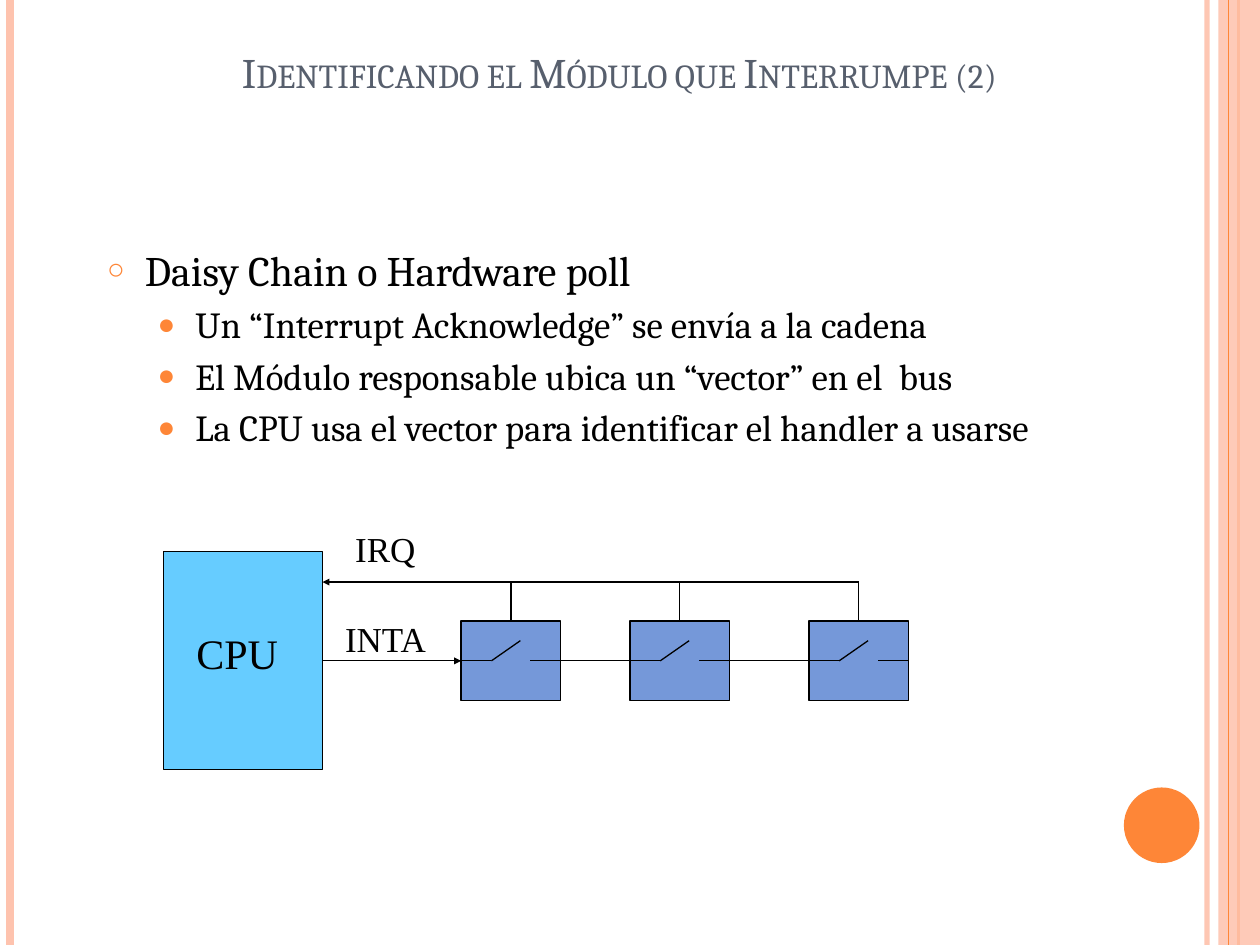
from typing import NamedTuple, Optional

from pptx import Presentation
from pptx.dml.color import RGBColor
from pptx.enum.shapes import MSO_CONNECTOR, MSO_SHAPE
from pptx.enum.text import MSO_ANCHOR, MSO_AUTO_SIZE, PP_ALIGN
from pptx.oxml.ns import qn
from pptx.util import Inches, Pt
from lxml.etree import SubElement

COLORS = {
    "peach": "FEC3AE",
    "orange": "FE8637",
    "slate": "575F6D",
    "black": "000000",
    "cpu": "66CCFF",
    "module": "7598D9",
}
SERIF = "Cambria"
DIAGRAM_FONT = "Times New Roman"
TOP, LEFT, RIGHT = 0, 1, 3


class Stripe(NamedTuple):
    x: float
    color: str
    width: float
    opacity: int = 100


class Bullet(NamedTuple):
    text: str
    level: int
    size: float
    symbol: str
    symbol_percent: int
    indent: float
    space_before: float


class Label(NamedTuple):
    text: str
    x: float
    y: float
    width: float
    height: float
    size: int


class Joint(NamedTuple):
    shape: object
    side: int


def rgb(name: str) -> RGBColor:
    return RGBColor.from_string(COLORS[name])


def set_opacity(color_parent, percent: int) -> None:
    for color in color_parent.iter(qn("a:srgbClr")):
        SubElement(color, qn("a:alpha"), val=str(percent * 1000))


def style_font(paragraph, face: str, size: float, color: str) -> None:
    paragraph.font.name = face
    paragraph.font.size = Pt(size)
    paragraph.font.color.rgb = rgb(color)


def add_block(shapes, kind, x: float, y: float, width: float, height: float,
              fill: str, outline: Optional[str] = None):
    block = shapes.add_shape(kind, Inches(x), Inches(y), Inches(width), Inches(height))
    block.shadow.inherit = False
    block.fill.solid()
    block.fill.fore_color.rgb = rgb(fill)
    if outline:
        block.line.color.rgb = rgb(outline)
        block.line.width = Pt(0.75)
    else:
        block.line.fill.background()
    return block


def add_line(shapes, start: tuple, end: tuple, color: str = "black", width: float = 0.75,
             arrow: bool = False, begin: Optional[Joint] = None, finish: Optional[Joint] = None):
    line = shapes.add_connector(MSO_CONNECTOR.STRAIGHT, *map(Inches, start + end))
    line.line.color.rgb = rgb(color)
    line.line.width = Pt(width)
    properties = line._element.spPr
    if arrow:
        SubElement(properties.find(qn("a:ln")), qn("a:tailEnd"), type="triangle", w="sm", len="sm")
    SubElement(properties, qn("a:effectLst"))
    if begin:
        line.begin_connect(*begin)
    if finish:
        line.end_connect(*finish)
    return line


def add_stripe(shapes, stripe: Stripe) -> None:
    line = add_line(shapes, (stripe.x, 0), (stripe.x, 7.5), stripe.color, stripe.width)
    if stripe.opacity < 100:
        set_opacity(line._element.spPr, stripe.opacity)


def add_bullet(paragraph, bullet: Bullet) -> None:
    paragraph.text = bullet.text
    paragraph.level = bullet.level
    paragraph.space_before = Pt(bullet.space_before)
    properties = paragraph._p.get_or_add_pPr()
    properties.set("marL", str(Inches(bullet.indent)))
    properties.set("indent", str(Inches(-0.3)))
    symbol_color = SubElement(properties, qn("a:buClr"))
    SubElement(symbol_color, qn("a:srgbClr"), val=COLORS["orange"])
    SubElement(properties, qn("a:buSzPct"), val=str(bullet.symbol_percent * 1000))
    SubElement(properties, qn("a:buChar"), char=bullet.symbol)
    style_font(paragraph, SERIF, bullet.size, "black")


def add_label(shapes, label: Label) -> None:
    box = shapes.add_textbox(*map(Inches, label[1:5]))
    box.text_frame.word_wrap = False
    box.text_frame.auto_size = MSO_AUTO_SIZE.SHAPE_TO_FIT_TEXT
    paragraph = box.text_frame.paragraphs[0]
    paragraph.text = label.text
    style_font(paragraph, DIAGRAM_FONT, label.size, "black")


def place(holder, x: float, y: float, width: float, height: float, anchor):
    holder.left, holder.top, holder.width, holder.height = map(Inches, (x, y, width, height))
    frame = holder.text_frame
    frame.auto_size = MSO_AUTO_SIZE.NONE
    frame.vertical_anchor = anchor
    return frame


def draw_frame(shapes) -> None:
    for stripe in (Stripe(9.58, "peach", 3, 93), Stripe(0.08, "peach", 4.5),
                   Stripe(9.83, "orange", 1.5)):
        add_stripe(shapes, stripe)
    band = add_block(shapes, MSO_SHAPE.RECTANGLE, 9.67, 0, 0.33, 7.5, "peach")
    set_opacity(band._element.spPr, 87)
    add_stripe(shapes, Stripe(9.75, "orange", 0.75))
    add_block(shapes, MSO_SHAPE.OVAL, 8.92, 6.25, 0.6, 0.6, "orange")


def draw_daisy_chain(shapes) -> None:
    module_xs = (3.66, 5, 6.42)
    module_y, module_width, module_height = 4.93, 0.79, 0.63
    cpu_x, cpu_width = 1.3, 1.26
    irq_y, inta_y = 4.62, module_y + module_height / 2
    cpu_right = cpu_x + cpu_width

    cpu = add_block(shapes, MSO_SHAPE.RECTANGLE, cpu_x, 4.38, cpu_width, 1.73, "cpu", "black")
    modules = [add_block(shapes, MSO_SHAPE.RECTANGLE, x, module_y, module_width, module_height,
                         "module", "black") for x in module_xs]
    add_line(shapes, (module_xs[-1] + module_width / 2, irq_y), (cpu_right, irq_y), arrow=True)

    previous, previous_right = cpu, cpu_right
    for x, module in zip(module_xs, modules):
        center, right = x + module_width / 2, x + module_width
        entry, exit_side = Joint(module, LEFT), Joint(module, RIGHT)
        add_line(shapes, (center, module_y), (center, irq_y), begin=Joint(module, TOP))
        add_line(shapes, (previous_right, inta_y), (x, inta_y), arrow=previous is cpu,
                 begin=Joint(previous, RIGHT), finish=entry)
        add_line(shapes, (x, inta_y), (x + 0.24, inta_y), begin=entry)
        add_line(shapes, (x + 0.24, inta_y), (x + 0.47, inta_y - 0.16))
        add_line(shapes, (x + 0.55, inta_y), (right, inta_y), finish=exit_side)
        previous, previous_right = module, right

    for label in (Label("CPU", 1.46, 4.93, 0.85, 0.5, 24),
                  Label("IRQ", 2.72, 4.14, 0.68, 0.43, 20),
                  Label("INTA", 2.64, 4.85, 0.86, 0.43, 20)):
        add_label(shapes, label)


def main() -> None:
    deck = Presentation()
    deck.slide_width, deck.slide_height = Inches(10), Inches(7.5)
    slide = deck.slides.add_slide(deck.slide_layouts[1])
    shapes = slide.shapes
    draw_frame(shapes)

    heading = place(shapes.title, 0.83, 0.24, 8.17, 0.58, MSO_ANCHOR.BOTTOM).paragraphs[0]
    heading.text = "Identificando el Módulo que Interrumpe (2)"
    heading.alignment = PP_ALIGN.CENTER
    heading.runs[0]._r.get_or_add_rPr().set("cap", "small")
    style_font(heading, SERIF, 24, "slate")

    steps = ("Un “Interrupt Acknowledge” se envía a la cadena",
             "El Módulo responsable ubica un “vector” en el  bus",
             "La CPU usa el vector para identificar el handler a usarse")
    bullets = [Bullet("Daisy Chain o Hardware poll", 0, 24, "○", 70, 0.3, 0)]
    bullets += [Bullet(step, 1, 21, "●", 80, 0.7, 4.2) for step in steps]
    body = place(slide.placeholders[1], 0.75, 1.89, 8.17, 4.83, MSO_ANCHOR.TOP)
    for index, bullet in enumerate(bullets):
        add_bullet(body.add_paragraph() if index else body.paragraphs[0], bullet)

    draw_daisy_chain(shapes)
    deck.save("out.pptx")


if __name__ == "__main__":
    main()
